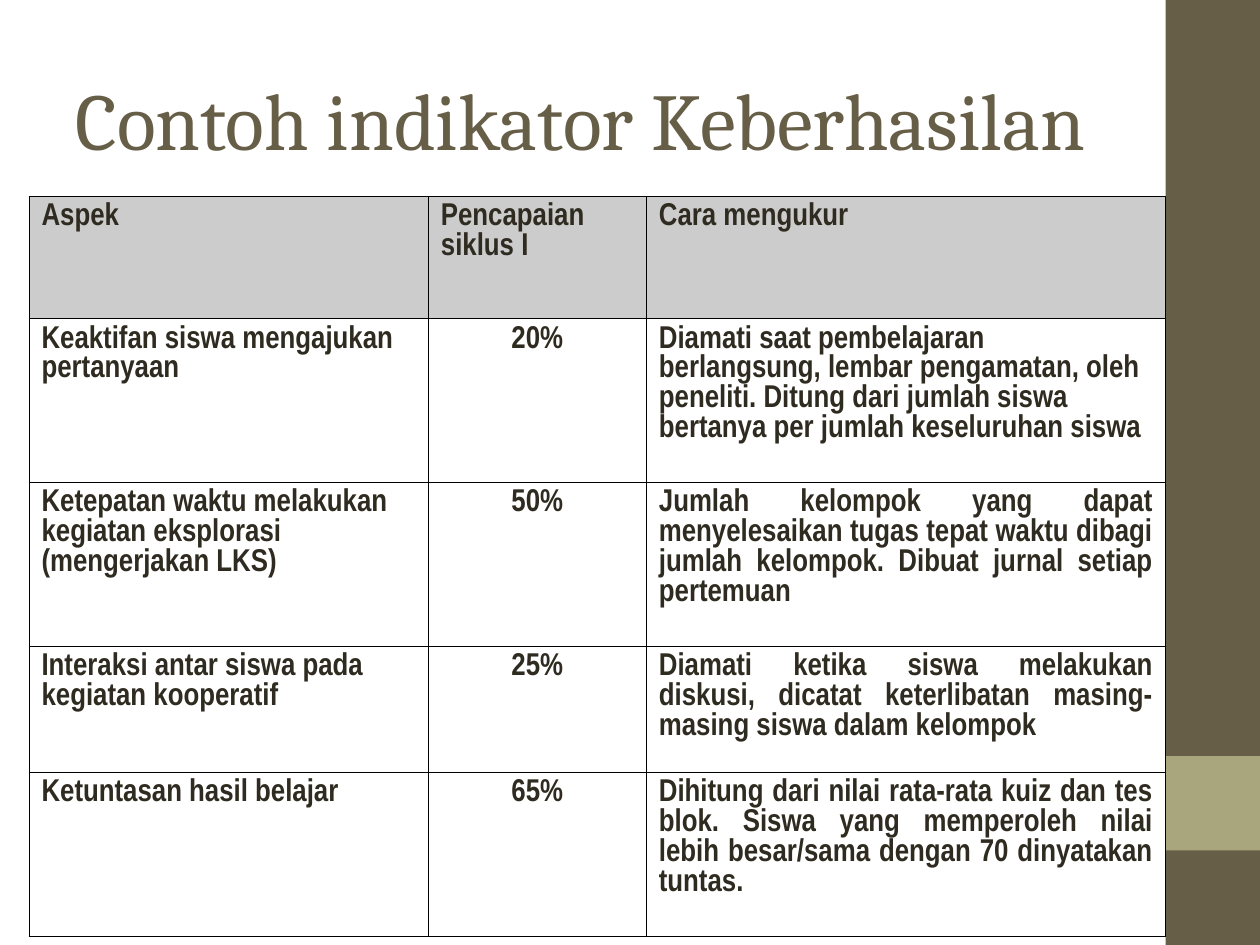
from lxml import etree
from pptx import Presentation, util as u
from pptx.dml.color import RGBColor
from pptx.enum import shapes, text
from pptx.oxml.ns import qn

COLORS = {"olive": "675E47", "sage": "A9A57C", "ink": "2F2B20",
          "header": "CCCCCC", "body": "FFFFFF", "rule": "000000"}
LEFT, CENTER, JUSTIFY = text.PP_ALIGN.LEFT, text.PP_ALIGN.CENTER, text.PP_ALIGN.JUSTIFY
TITLE_FONT = {"name": "Cambria", "size": u.Pt(46), "bold": False}
CELL_FONT = {"name": "Arial Narrow", "size": u.Pt(18), "bold": True}
COLUMNS = (3.17, 1.73, 4.12)
ROWS = (0.97, 1.3, 1.3, 1, 1.3)
INDICATORS = [
    ("Aspek", "Pencapaian siklus I", "Cara mengukur"),
    ("Keaktifan siswa mengajukan pertanyaan", "20%",
     "Diamati saat pembelajaran berlangsung, lembar pengamatan, oleh peneliti. "
     "Ditung dari jumlah siswa bertanya per jumlah keseluruhan siswa"),
    ("Ketepatan waktu melakukan kegiatan eksplorasi (mengerjakan LKS)", "50%",
     "Jumlah kelompok yang dapat menyelesaikan tugas tepat waktu dibagi jumlah "
     "kelompok. Dibuat jurnal setiap pertemuan"),
    ("Interaksi antar siswa pada kegiatan kooperatif", "25%",
     "Diamati ketika siswa melakukan diskusi, dicatat keterlibatan masing-masing "
     "siswa dalam kelompok"),
    ("Ketuntasan hasil belajar", "65%",
     "Dihitung dari nilai rata-rata kuiz dan tes blok. Siswa yang memperoleh nilai "
     "lebih besar/sama dengan 70 dinyatakan tuntas."),
]


def rgb(name):
    """Return the named palette colour."""
    return RGBColor.from_string(COLORS[name])


def write(frame, wording, font, color, align=LEFT):
    """Write one formatted paragraph and return it."""
    paragraph = frame.paragraphs[0]
    paragraph.alignment = align
    run = paragraph.add_run()
    run.text = wording
    for key, value in font.items():
        setattr(run.font, key, value)
    run.font.color.rgb = rgb(color)
    return paragraph


def add_sidebar(slide, left, top, width, height):
    """Place the side band and its accent, a tenth of the band high."""
    for offset, share, color in ((0, 1, "olive"), (0.8, 0.1, "sage")):
        band = slide.shapes.add_shape(
            shapes.MSO_SHAPE.RECTANGLE, left, top + int(height * offset),
            width, int(height * share))
        band.shadow.inherit = False
        band.fill.solid()
        band.fill.fore_color.rgb = rgb(color)
        band.line.fill.background()


def add_title(slide, left, top, width, height):
    """Place the slide title in its box."""
    frame = slide.shapes.add_textbox(left, top, width, height).text_frame
    frame.word_wrap = True
    frame.vertical_anchor = text.MSO_ANCHOR.MIDDLE
    write(frame, "Contoh indikator Keberhasilan", TITLE_FONT, "olive")


def outline(cell):
    """Draw a thin rule on every side of a cell."""
    properties = cell._tc.get_or_add_tcPr()
    for position, side in enumerate(("lnL", "lnR", "lnT", "lnB")):
        line = etree.Element(qn(f"a:{side}"), w=str(u.Pt(0.45)))
        fill = etree.SubElement(line, qn("a:solidFill"))
        etree.SubElement(fill, qn("a:srgbClr"), val=COLORS["rule"])
        properties.insert(position, line)


def add_indicators(slide, left, top, width, height):
    """Place the indicator table, sharing its box among columns and rows."""
    table = slide.shapes.add_table(len(ROWS), len(COLUMNS), left, top, width, height).table
    for column, share in zip(table.columns, COLUMNS):
        column.width = int(width * share / sum(COLUMNS))
    for row, share in zip(table.rows, ROWS):
        row.height = int(height * share / sum(ROWS))
    for r, indicator in enumerate(INDICATORS):
        method_align = JUSTIFY if r > 1 else LEFT
        aligns = (LEFT, CENTER if r else LEFT, method_align)
        for c, (wording, align) in enumerate(zip(indicator, aligns)):
            cell = table.cell(r, c)
            cell.fill.solid()
            cell.fill.fore_color.rgb = rgb("body" if r else "header")
            outline(cell)
            paragraph = write(cell.text_frame, wording, CELL_FONT, "ink", align)
            paragraph.line_spacing = u.Pt(17)


def main():
    """Build and save the slide."""
    deck = Presentation()
    deck.slide_width, deck.slide_height = u.Inches(10), u.Inches(7.5)
    slide = deck.slides.add_slide(deck.slide_layouts[6])
    regions = (
        (add_sidebar, (0.925, 0, 0.075, 1)),
        (add_title, (0.05, 0.04, 0.9, 0.17)),
        (add_indicators, (0.023, 0.208, 0.902, 0.783)),
    )
    sizes = (deck.slide_width, deck.slide_height) * 2
    for place, shares in regions:
        place(slide, *(int(size * share) for size, share in zip(sizes, shares)))
    deck.save("out.pptx")


if __name__ == "__main__":
    main()
